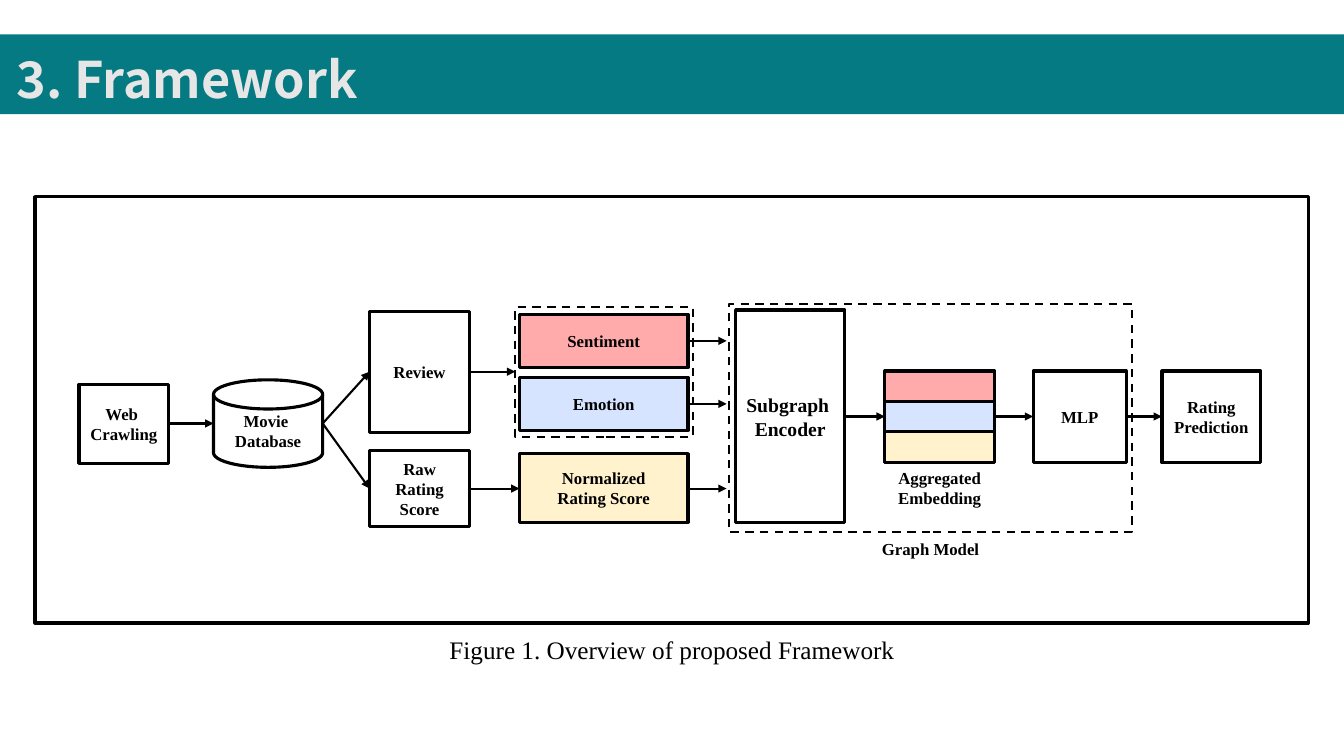
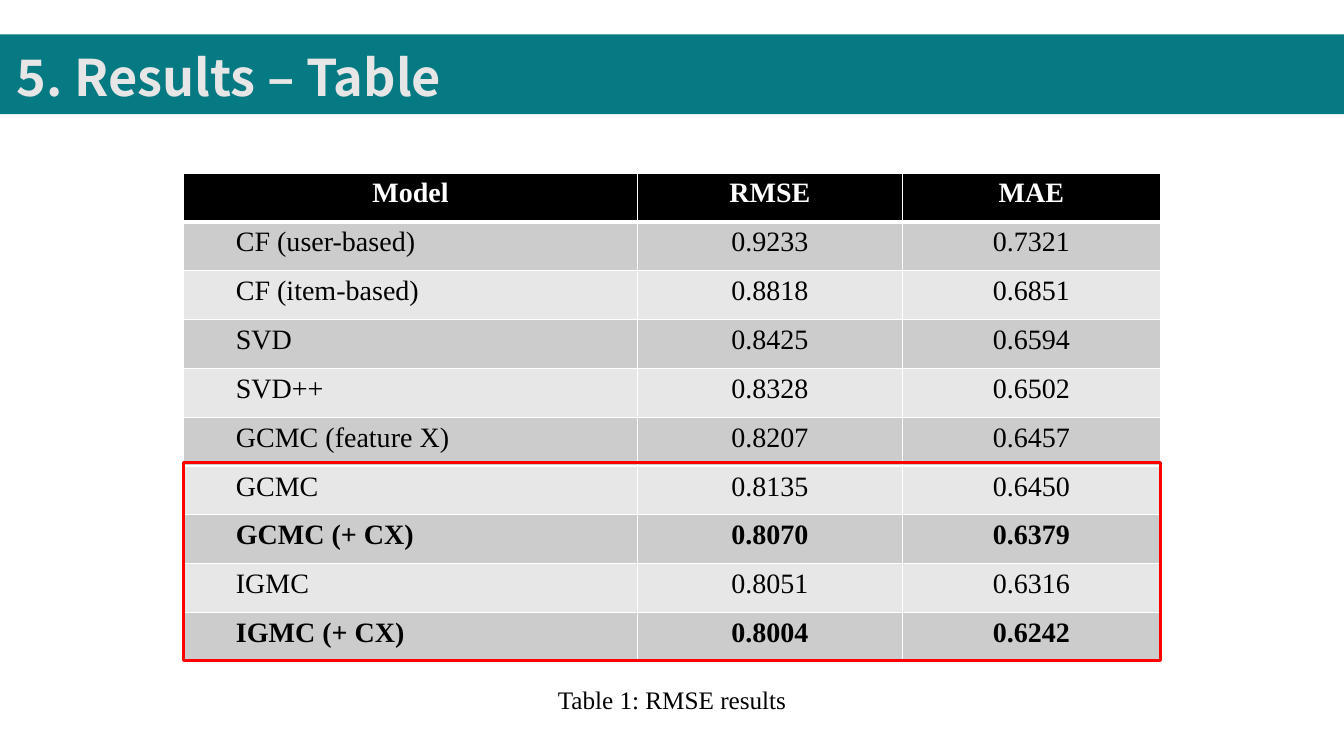
"""Build the framework diagram slide and the results table slide."""
from dataclasses import dataclass
from typing import Optional

from lxml.etree import SubElement
from pptx import Presentation
from pptx.dml.color import RGBColor
from pptx.enum.dml import MSO_LINE
from pptx.enum.shapes import MSO_CONNECTOR, MSO_SHAPE
from pptx.enum.text import MSO_ANCHOR, MSO_AUTO_SIZE, PP_ALIGN
from pptx.oxml.ns import qn
from pptx.slide import Slide
from pptx.table import _Cell
from pptx.text.text import TextFrame
from pptx.util import Pt

COLORS = {
    "teal": "067A82",
    "title": "E7E6E6",
    "black": "000000",
    "white": "FFFFFF",
    "sentiment": "FFABAB",
    "emotion": "D7E4FF",
    "rating": "FFF2CC",
    "dark_row": "CCCCCC",
    "light_row": "E7E7E7",
    "highlight": "FF0000",
}
TITLE_FONT = "Noto Sans CJK KR"
BODY_FONT = "Times New Roman"


@dataclass(frozen=True)
class Box:
    left: float
    top: float
    width: float
    height: float
    text: str = ""
    fill: Optional[str] = None
    line: Optional[str] = "black"
    weight: float = 2.25
    dashed: bool = False
    size: float = 12
    preset: MSO_SHAPE = MSO_SHAPE.RECTANGLE


@dataclass(frozen=True)
class Label:
    left: float
    top: float
    width: float
    height: float
    text: str
    size: float = 12
    bold: bool = True


@dataclass(frozen=True)
class Arrow:
    start_x: float
    start_y: float
    end_x: float
    end_y: float


@dataclass(frozen=True)
class Result:
    model: str
    rmse: str
    mae: str
    bold: bool = False


BAND = Box(0, 24.5, 960, 57, fill="teal", line=None)

STRIPE_HEIGHT = 21.7
STRIPES = [
    Box(632, 265 + STRIPE_HEIGHT * index, 78.5, STRIPE_HEIGHT, fill=fill)
    for index, fill in enumerate(("sentiment", "emotion", "rating"))
]
FRAMEWORK = [
    Box(25, 140.5, 909.5, 304.5),
    Box(56.5, 274.5, 64, 56.5, "Web \nCrawling"),
    Box(152.5, 271.3, 78, 62.5, "Movie \nDatabase", preset=MSO_SHAPE.FLOWCHART_MAGNETIC_DISK),
    Box(264, 222.5, 71.5, 86.5, "Review"),
    Box(264, 322, 71.5, 54, "Raw Rating Score"),
    Box(371, 224.5, 120.5, 38, "Sentiment", "sentiment"),
    Box(371, 269.5, 120.5, 38, "Emotion", "emotion"),
    Box(371, 324, 120.5, 49, "Normalized\nRating Score", "rating"),
    Box(525.5, 221.5, 78, 152, "Subgraph \nEncoder", "white", size=14),
    Box(738, 265, 66.5, 65.5, "MLP"),
    Box(830, 265, 70.5, 65.5, "Rating\nPrediction"),
    *STRIPES,
    Box(368, 219.5, 127, 92.5, weight=1.5, dashed=True),
    Box(520.5, 217, 288, 163, weight=1.5, dashed=True),
]
FRAMEWORK_LABELS = [
    Label(625.5, 330.5, 91.5, 36, "Aggregated\nEmbedding"),
    Label(619, 381, 91.5, 22, "Graph Model"),
    Label(294, 449.5, 372, 29, "Figure 1. Overview of proposed Framework", 18, False),
]
FLOWS = [
    Arrow(120.5, 302.5, 152.5, 302.5),
    Arrow(230.5, 302.5, 264, 265.5),
    Arrow(230.5, 302.5, 264, 349),
    Arrow(335.5, 265.5, 368, 265.5),
    Arrow(335.5, 349, 371, 349),
    *(Arrow(491.5, y, 519, y) for y in (243.5, 288.5, 349)),
    *(
        Arrow(start, 297.5, end, 297.5)
        for start, end in ((603.5, 632), (710.5, 738), (804.5, 830))
    ),
]

HEADINGS = Result("Model", "RMSE", "MAE", True)
RESULTS = [
    Result("CF (user-based)", "0.9233", "0.7321"),
    Result("CF (item-based)", "0.8818", "0.6851"),
    Result("SVD", "0.8425", "0.6594"),
    Result("SVD++", "0.8328", "0.6502"),
    Result("GCMC (feature X)", "0.8207", "0.6457"),
    Result("GCMC", "0.8135", "0.6450"),
    Result("GCMC (+ CX)", "0.8070", "0.6379", True),
    Result("IGMC", "0.8051", "0.6316"),
    Result("IGMC (+ CX)", "0.8004", "0.6242", True),
]
COLUMN_WIDTHS = (324, 189.3, 184.3)
ROW_HEIGHT = 34.9
TABLE_LEFT, TABLE_TOP = 131.3, 123.5
BEST_MODELS = Box(131, 330.5, 698, 141.5, line="highlight")
TABLE_CAPTION = Label(295, 485.5, 370, 29, "Table 1: RMSE results", 18, False)


def rgb(color: str) -> RGBColor:
    return RGBColor.from_string(COLORS[color])


def write(frame: TextFrame, text: str, size: float, bold: bool, color: str = "black",
          font: str = BODY_FONT, align: PP_ALIGN = PP_ALIGN.CENTER) -> None:
    frame.text = text
    frame.word_wrap = True
    for paragraph in frame.paragraphs:
        paragraph.alignment = align
        for run in paragraph.runs:
            run.font.name = font
            run.font.size = Pt(size)
            run.font.bold = bold
            run.font.color.rgb = rgb(color)


def draw_box(slide: Slide, box: Box) -> None:
    shape = slide.shapes.add_shape(
        box.preset, Pt(box.left), Pt(box.top), Pt(box.width), Pt(box.height))
    shape.shadow.inherit = False
    if box.fill:
        shape.fill.solid()
        shape.fill.fore_color.rgb = rgb(box.fill)
    else:
        shape.fill.background()
    if box.line:
        shape.line.color.rgb = rgb(box.line)
        shape.line.width = Pt(box.weight)
        if box.dashed:
            shape.line.dash_style = MSO_LINE.DASH
    else:
        shape.line.fill.background()
    if box.text:
        write(shape.text_frame, box.text, box.size, True)
        shape.text_frame.vertical_anchor = MSO_ANCHOR.MIDDLE


def draw_label(slide: Slide, label: Label) -> None:
    frame = slide.shapes.add_textbox(
        Pt(label.left), Pt(label.top), Pt(label.width), Pt(label.height)).text_frame
    write(frame, label.text, label.size, label.bold)
    frame.auto_size = MSO_AUTO_SIZE.SHAPE_TO_FIT_TEXT


def draw_arrow(slide: Slide, arrow: Arrow) -> None:
    connector = slide.shapes.add_connector(
        MSO_CONNECTOR.STRAIGHT, Pt(arrow.start_x), Pt(arrow.start_y),
        Pt(arrow.end_x), Pt(arrow.end_y))
    connector.line.color.rgb = rgb("black")
    connector.line.width = Pt(1.5)
    properties = connector._element.spPr
    SubElement(properties.find(qn("a:ln")), qn("a:tailEnd"), type="triangle")
    SubElement(properties, qn("a:effectLst"))


def draw_title(slide: Slide, title: str, top: float) -> None:
    draw_box(slide, BAND)
    frame = slide.shapes.add_textbox(Pt(5), Pt(top), Pt(955), Pt(66)).text_frame
    write(frame, title, 36, True, "title", TITLE_FONT, PP_ALIGN.LEFT)
    frame.paragraphs[0].line_spacing = 1.5
    frame.vertical_anchor = MSO_ANCHOR.MIDDLE
    frame.auto_size = MSO_AUTO_SIZE.SHAPE_TO_FIT_TEXT


def set_borders(cell: _Cell, top: float, bottom: float) -> None:
    properties = cell._tc.get_or_add_tcPr()
    weights = {"a:lnL": 1, "a:lnR": 1, "a:lnT": top, "a:lnB": bottom}
    for position, (edge, weight) in enumerate(weights.items()):
        border = SubElement(properties, qn(edge), w=str(Pt(weight)))
        fill = SubElement(border, qn("a:solidFill"))
        SubElement(fill, qn("a:srgbClr"), val=COLORS["white"])
        properties.insert(position, border)


def draw_results(slide: Slide) -> None:
    rows = [HEADINGS, *RESULTS]
    table = slide.shapes.add_table(
        len(rows), len(COLUMN_WIDTHS), Pt(TABLE_LEFT), Pt(TABLE_TOP),
        Pt(sum(COLUMN_WIDTHS)), Pt(ROW_HEIGHT * len(rows))).table
    for column, width in zip(table.columns, COLUMN_WIDTHS):
        column.width = Pt(width)
    for row_index, result in enumerate(rows):
        table.rows[row_index].height = Pt(ROW_HEIGHT)
        heading = row_index == 0
        band = "black" if heading else "dark_row" if row_index % 2 else "light_row"
        for column_index, text in enumerate((result.model, result.rmse, result.mae)):
            cell = table.cell(row_index, column_index)
            model_name = column_index == 0 and not heading
            write(cell.text_frame, text, 20, result.bold,
                  "white" if heading else "black",
                  align=PP_ALIGN.LEFT if model_name else PP_ALIGN.CENTER)
            if model_name:
                cell.margin_left = Pt(37.2)
            cell.fill.solid()
            cell.fill.fore_color.rgb = rgb(band)
            set_borders(cell, 3 if row_index == 1 else 1, 3 if heading else 1)


def build_framework(slide: Slide) -> None:
    draw_title(slide, "3. Framework", 12.2)
    for box in FRAMEWORK:
        draw_box(slide, box)
    for flow in FLOWS:
        draw_arrow(slide, flow)
    for label in FRAMEWORK_LABELS:
        draw_label(slide, label)


def build_results(slide: Slide) -> None:
    draw_title(slide, "5. Results – Table", 10.8)
    draw_results(slide)
    draw_box(slide, BEST_MODELS)
    draw_label(slide, TABLE_CAPTION)


def main() -> None:
    deck = Presentation()
    deck.slide_width, deck.slide_height = Pt(960), Pt(540)
    blank = deck.slide_layouts[6]
    for build in (build_framework, build_results):
        build(deck.slides.add_slide(blank))
    deck.save("out.pptx")


if __name__ == "__main__":
    main()
